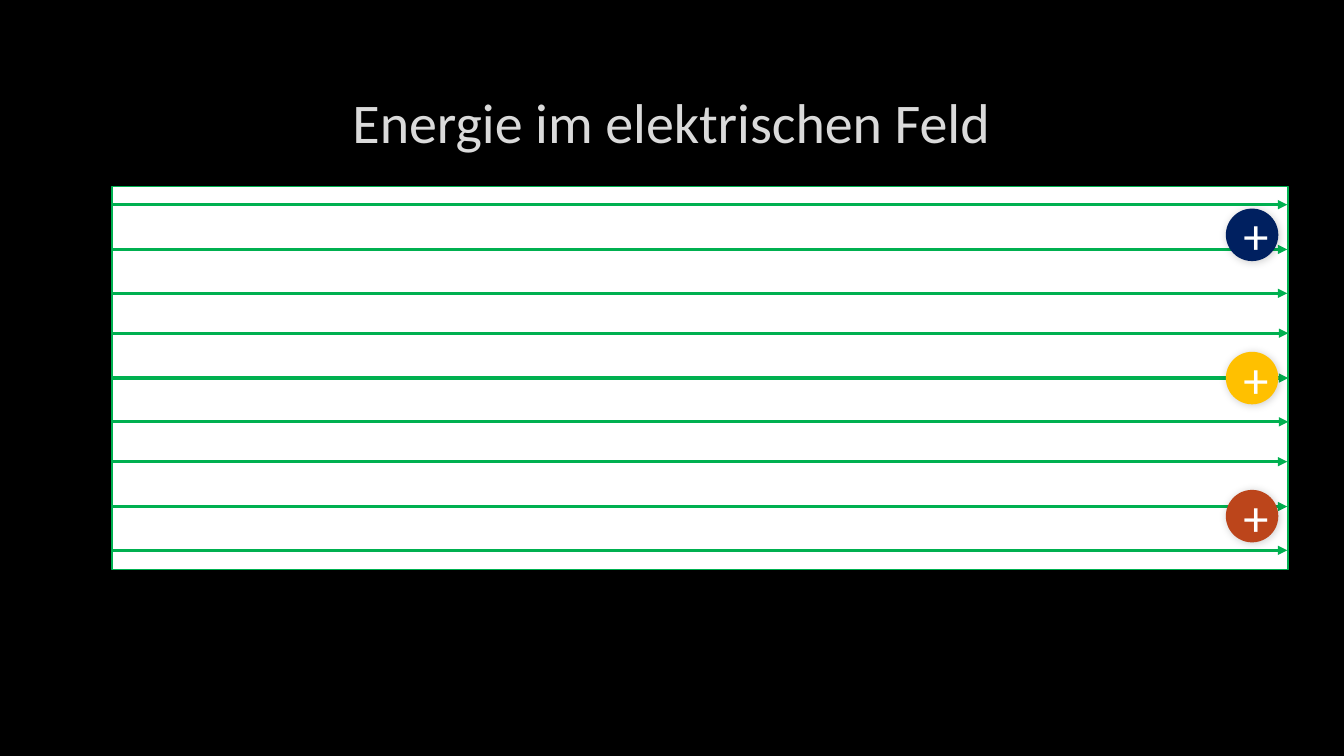
from lxml import etree
from pptx import Presentation
from pptx import util as u
from pptx.dml import color
from pptx.enum import shapes, text
from pptx.oxml import ns

COLORS = {
    "background": "000000", "title": "DADADA", "outline": "404040",
    "plate": "FFFFFF", "field": "00B050", "sign": "FFFFFF", "shadow": "000000",
    "high": "002060", "middle": "FFC000", "low": "BC451B",
}
FONT = "Calibri"


def rgb(name):
    """Return the named colour."""
    return color.RGBColor.from_string(COLORS[name])


def add_xml(parent, tag, **attributes):
    """Append a DrawingML element and return it."""
    return etree.SubElement(parent, ns.qn(tag), attributes)


def add_color(parent, name, alpha):
    """Append a named colour with its opacity in percent."""
    tint = add_xml(parent, "a:srgbClr", val=COLORS[name])
    add_xml(tint, "a:alpha", val=str(alpha * 1000))


def write(frame, words, size, tone, align=text.PP_ALIGN.CENTER,
          anchor=text.MSO_ANCHOR.MIDDLE):
    """Write one formatted line into a text frame and return its run."""
    frame.word_wrap = True
    frame.vertical_anchor = anchor
    paragraph = frame.paragraphs[0]
    paragraph.alignment = align
    run = paragraph.add_run()
    run.text = words
    run.font.name, run.font.size = FONT, u.Pt(size)
    run.font.color.rgb = rgb(tone)
    return run


def add_title(slide, left, top, width, height):
    """Place the heading in the title placeholder."""
    heading = slide.shapes.title
    heading.left, heading.top = u.Pt(left), u.Pt(top)
    heading.width, heading.height = u.Pt(width), u.Pt(height)
    run = write(heading.text_frame, "Energie im elektrischen Feld", 40, "title")
    outline = etree.Element(ns.qn("a:ln"), w=str(u.Pt(0.75)))
    add_color(add_xml(outline, "a:solidFill"), "outline", 10)
    run.font._element.insert(0, outline)


def add_field_line(field, left, y, width):
    """Draw one field line pointing right."""
    arrow = field.shapes.add_connector(
        shapes.MSO_CONNECTOR.STRAIGHT,
        u.Pt(left), u.Pt(y), u.Pt(left + width), u.Pt(y))
    arrow.line.color.rgb = rgb("field")
    arrow.line.width = u.Pt(2.25)
    add_xml(arrow.line._get_or_add_ln(), "a:tailEnd", type="triangle")
    add_xml(arrow._element.spPr, "a:effectLst")


def add_field(slide, left, top, width, height):
    """Draw the white plate with three bundles of three field lines."""
    field = slide.shapes.add_group_shape()
    plate = field.shapes.add_shape(
        shapes.MSO_SHAPE.RECTANGLE,
        u.Pt(left), u.Pt(top), u.Pt(width), u.Pt(height))
    plate.shadow.inherit = False
    plate.fill.solid()
    plate.fill.fore_color.rgb = rgb("plate")
    plate.line.color.rgb = rgb("field")
    plate.line.width = u.Pt(1.25)
    for bundle, shift in enumerate((-0.7, 0, -0.7)):
        center = top + height / 2 + (bundle - 1) * 91.8
        for offset in (-32, 0, 31.3):
            add_field_line(field, left + shift, center + offset, width)


def add_charge(slide, left, top, diameter, tone):
    """Draw one positive charge with a soft shadow."""
    charge = slide.shapes.add_shape(
        shapes.MSO_SHAPE.OVAL,
        u.Pt(left), u.Pt(top), u.Pt(diameter), u.Pt(diameter))
    charge.fill.solid()
    charge.fill.fore_color.rgb = rgb(tone)
    charge.line.fill.background()
    effects = add_xml(charge._element.spPr, "a:effectLst")
    shadow = add_xml(effects, "a:outerShdw", blurRad=str(u.Pt(6)),
                     dist=str(u.Pt(1)), dir="2700000", rotWithShape="0")
    add_color(shadow, "shadow", 20)
    write(charge.text_frame, "+", 36, "sign")


def add_charges(slide, left, top, width, height):
    """Place the three charges near the right edge of the field."""
    diameter = 37.5
    for tone, drop in (("high", 15.8), ("middle", 118.1), ("low", 216.7)):
        add_charge(slide, left + width - 44.6, top + drop, diameter, tone)


def main():
    """Build the slide and save it."""
    deck = Presentation()
    deck.slide_width, deck.slide_height = u.Pt(960), u.Pt(540)
    slide = deck.slides.add_slide(deck.slide_layouts[5])
    slide.background.fill.solid()
    slide.background.fill.fore_color.rgb = rgb("background")
    field_box = (80, 133.2, 840.2, 273.6)
    add_title(slide, 72, 48.2, 815, 76.3)
    add_field(slide, *field_box)
    add_charges(slide, *field_box)
    deck.save("out.pptx")


if __name__ == "__main__":
    main()
